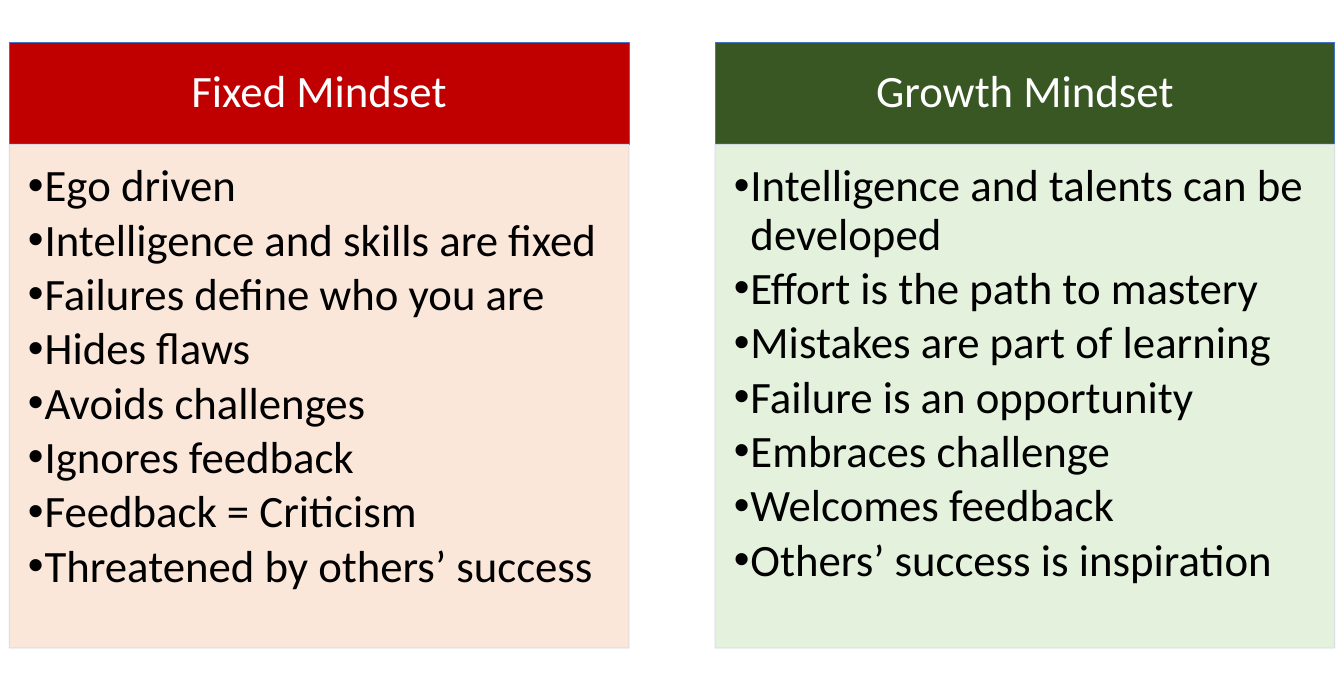
from lxml import etree
from pptx import Presentation
from pptx.dml.color import RGBColor
from pptx.enum.text import MSO_ANCHOR, MSO_AUTO_SIZE, PP_ALIGN
from pptx.oxml.ns import qn
from pptx.util import Inches, Pt

CENTER, LEFT = PP_ALIGN.CENTER, PP_ALIGN.LEFT
MIDDLE, TOP = MSO_ANCHOR.MIDDLE, MSO_ANCHOR.TOP
NO_FIT = MSO_AUTO_SIZE.NONE

WHITE = RGBColor(0xFF, 0xFF, 0xFF)
BLACK = RGBColor(0x00, 0x00, 0x00)
BLUE = RGBColor(0x44, 0x72, 0xC4)
PALE_BLUE = RGBColor(0xCF, 0xD5, 0xEA)
RED = RGBColor(0xC0, 0x00, 0x00)
PEACH = RGBColor(0xFB, 0xE5, 0xD6)
DARK_GREEN = RGBColor(0x38, 0x57, 0x23)
PALE_GREEN = RGBColor(0xE2, 0xF0, 0xD9)

COMPARISON = 4  # layout with two headings and two lists

# Shares of the slide's width and height, in percent
MARGIN, COL_W = 0.68, 46.12
COL_X = (MARGIN, 100 - MARGIN - COL_W)
HEAD_Y, HEAD_H = 6.16, 14.73
LIST_Y, LIST_H = HEAD_Y + HEAD_H, 73.03

COLUMNS = [
    ("Fixed Mindset", RED, PEACH, [
        "Ego driven",
        "Intelligence and skills are fixed",
        "Failures define who you are",
        "Hides flaws",
        "Avoids challenges",
        "Ignores feedback",
        "Feedback = Criticism",
        "Threatened by others’ success",
    ]),
    ("Growth Mindset", DARK_GREEN, PALE_GREEN, [
        "Intelligence and talents can be developed",
        "Effort is the path to mastery",
        "Mistakes are part of learning",
        "Failure is an opportunity",
        "Embraces challenge",
        "Welcomes feedback",
        "Others’ success is inspiration",
    ]),
]


def apply(target, values):
    for name, value in values.items():
        setattr(target, name, value)


class Deck:
    font = {"name": "Calibri", "size": Pt(60), "bold": False}
    spacing = {"line_spacing": 0.9, "space_before": Pt(0)}
    head_frame = {
        "margin_left": Inches(0.47), "margin_right": Inches(0.47),
        "margin_top": Inches(0.27), "margin_bottom": Inches(0.27),
        "vertical_anchor": MIDDLE, "word_wrap": True, "auto_size": NO_FIT,
    }
    list_frame = {
        "margin_left": Inches(0.35), "margin_right": Inches(0.47),
        "margin_top": Inches(0.35), "margin_bottom": Inches(0.53),
        "vertical_anchor": TOP, "word_wrap": True, "auto_size": NO_FIT,
    }

    def __init__(self, prs):
        self.prs = prs
        self.s = prs.slides.add_slide(prs.slide_layouts[COMPARISON])
        title = self.s.shapes.title.element
        title.getparent().remove(title)

    def panel(self, idx, x, y, h, fill, line, frame, alpha=None):
        """Move and colour a placeholder; return its text frame."""
        sp = self.s.placeholders[idx]
        w_unit, h_unit = self.prs.slide_width / 100, self.prs.slide_height / 100
        apply(sp, {
            "left": round(x * w_unit), "top": round(y * h_unit),
            "width": round(COL_W * w_unit), "height": round(h * h_unit),
        })
        sp.fill.solid()
        sp.fill.fore_color.rgb = fill
        sp.line.color.rgb = line
        sp.line.width = Pt(1)
        if alpha:
            for color in sp.element.spPr.iter(qn("a:srgbClr")):
                etree.SubElement(color, qn("a:alpha"), val=str(alpha * 1000))
        apply(sp.text_frame, frame)
        return sp.text_frame

    def fill_paragraph(self, p, text, color, align):
        apply(p, {"text": text, "alignment": align, **self.spacing})
        r = p.runs[0]
        apply(r.font, self.font)
        r.font.color.rgb = color

    def heading(self, idx, x, text, fill):
        tf = self.panel(idx, x, HEAD_Y, HEAD_H, fill, BLUE, self.head_frame)
        self.fill_paragraph(tf.paragraphs[0], text, WHITE, CENTER)

    def bullets(self, idx, x, items, fill):
        tf = self.panel(idx, x, LIST_Y, LIST_H, fill, PALE_BLUE,
                        self.list_frame, alpha=90)
        for i, item in enumerate(items):
            p = tf.add_paragraph() if i else tf.paragraphs[0]
            p.level = 1
            pPr = p._p.get_or_add_pPr()
            pPr.set("marL", str(Inches(0.31)))
            pPr.set("indent", str(-Inches(0.31)))
            etree.SubElement(pPr, qn("a:buFont"), typeface="Arial")
            etree.SubElement(pPr, qn("a:buChar"), char="•")
            self.fill_paragraph(p, item, BLACK, LEFT)
            p.space_after = Pt(8)


def main():
    prs = Presentation()
    prs.slide_width, prs.slide_height = Inches(25), Inches(12.83)
    deck = Deck(prs)

    # One heading and one list per mindset; placeholders run 1-2 and 3-4
    for i, (name, head_fill, list_fill, items) in enumerate(COLUMNS):
        deck.heading(2 * i + 1, COL_X[i], name, head_fill)
        deck.bullets(2 * i + 2, COL_X[i], items, list_fill)

    prs.save("out.pptx")


if __name__ == "__main__":
    main()
